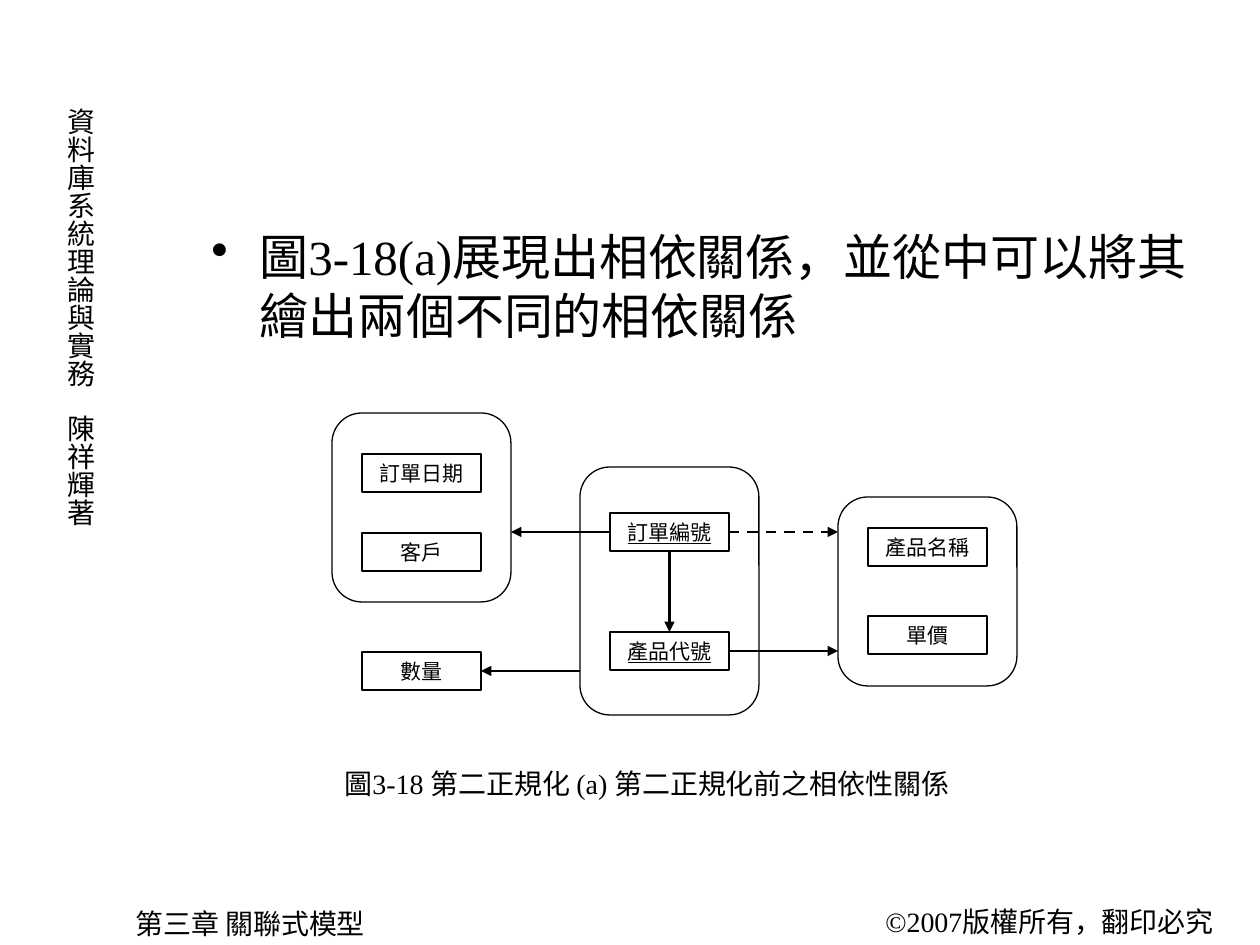
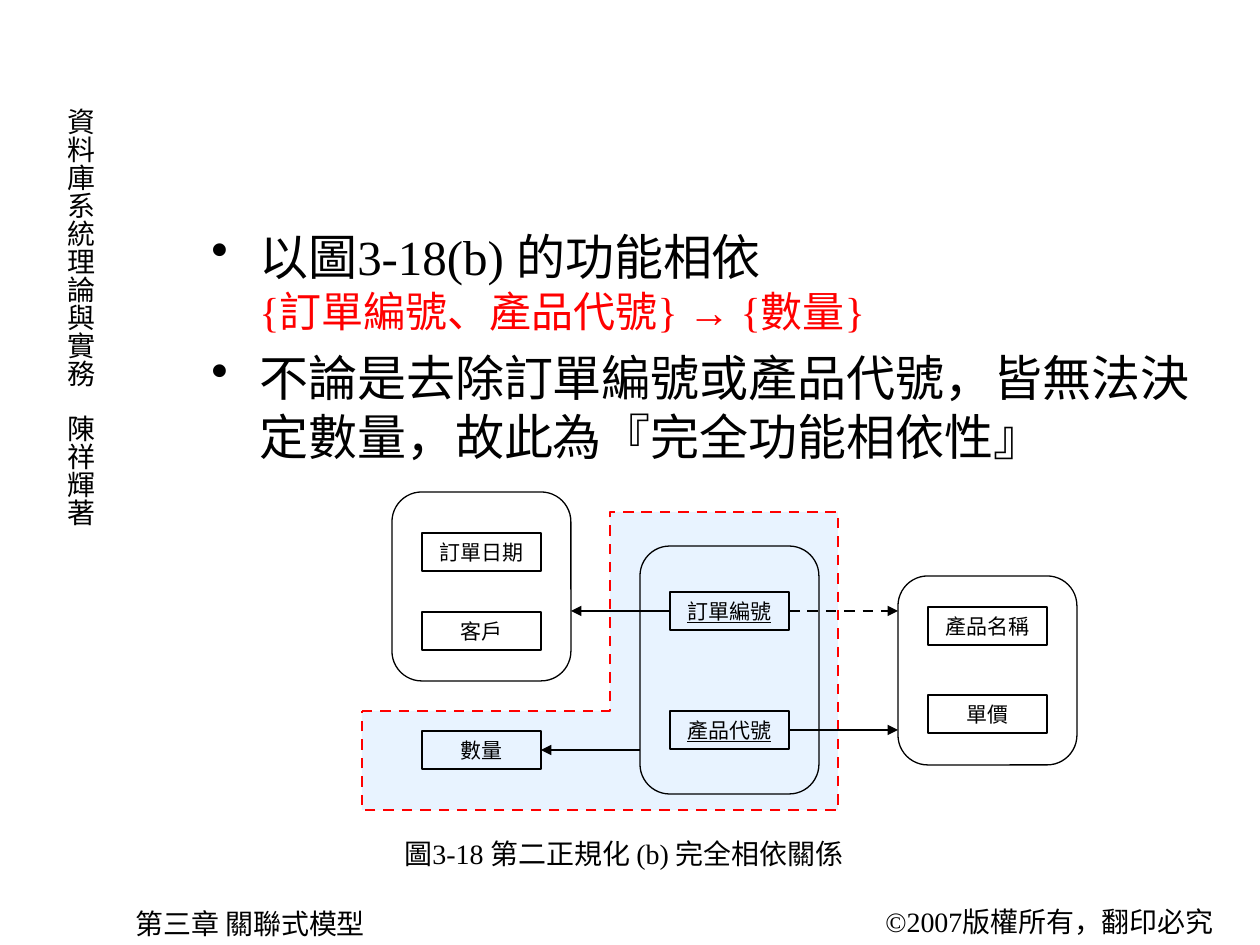
"""Builds two slides on second normal form and its dependency diagrams."""
from pptx import Presentation
from pptx.dml.color import RGBColor
from pptx.enum.dml import MSO_LINE
from pptx.enum.shapes import MSO_CONNECTOR, MSO_SHAPE
from pptx.enum.text import MSO_ANCHOR, PP_ALIGN
from pptx.oxml.ns import qn
from pptx.util import Emu, Pt
from lxml import etree

DASH = MSO_LINE.DASH
STRAIGHT = MSO_CONNECTOR.STRAIGHT
RECTANGLE, ROUNDED = MSO_SHAPE.RECTANGLE, MSO_SHAPE.ROUNDED_RECTANGLE
MIDDLE, CENTER = MSO_ANCHOR.MIDDLE, PP_ALIGN.CENTER
TOP, LEFT, BOTTOM, RIGHT = range(4)

COLORS = {"ink": "000000", "accent": "FF0000", "highlight": "8DC6FF"}
SERIF, SANS = "Times New Roman", "Arial"
EMU_PER_PX = 914400 / 126
FIELD_SIZE = (119, 38)
FRAMES = [(332, 413, 179, 189), (580, 467, 179, 248), (838, 497, 179, 189)]
FIELDS = {
    "訂單日期": (362, 454), "客戶": (362, 533), "數量": (362, 652),
    "訂單編號": (610, 513), "產品代號": (610, 632),
    "產品名稱": (868, 528), "單價": (868, 616),
}
KEY_FIELDS = ("訂單編號", "產品代號")


def px(length):
    """Turn pixels into EMU."""
    return Emu(round(length * EMU_PER_PX))


def color(name):
    """Look up a palette colour."""
    return RGBColor.from_string(COLORS[name])


def style_font(font, size, face=SERIF, ink="ink"):
    """Set size, typeface and colour of a font."""
    font.size, font.name = Pt(size), face
    font.color.rgb = color(ink)


def style_line(line, width, ink="ink", dashed=False):
    """Set width, colour and dash of a line."""
    line.width = Pt(width)
    line.color.rgb = color(ink)
    if dashed:
        line.dash_style = DASH


def add_label(slide, text, box):
    """Add a 16 pt serif text box and return it."""
    label = slide.shapes.add_textbox(*map(px, box))
    label.text_frame.word_wrap = True
    paragraph = label.text_frame.paragraphs[0]
    paragraph.text = text
    style_font(paragraph.font, 16)
    return label


def add_page_furniture(slide):
    """Add the vertical book title and both footers."""
    book = add_label(slide, "資料庫系統理論與實務　陳祥輝著", (45, 96, 58, 446))
    frame = book.text_frame
    frame.margin_left = frame.margin_right = px(6)
    frame.margin_top = frame.margin_bottom = px(12)
    book.element.txBody.bodyPr.set("vert", "eaVert")
    add_label(slide, "©2007版權所有，翻印必究", (873, 898, 382, 47))
    add_label(slide, "第三章 關聯式模型", (123, 900, 496, 47))


def add_bullets(slide, bullets):
    """Add the body text from pairs of a statement and an optional formula."""
    body = slide.shapes.add_textbox(*map(px, (199, 220, 1008, 624))).text_frame
    body.word_wrap = True
    for index, (statement, formula) in enumerate(bullets):
        paragraph = body.add_paragraph() if index else body.paragraphs[0]
        properties = paragraph._p.get_or_add_pPr()
        properties.set("marL", str(px(48)))
        properties.set("indent", str(px(-48)))
        etree.SubElement(properties, qn("a:buChar"), char="•")
        if index:
            paragraph.space_before = Pt(7)
        statement_run = paragraph.add_run()
        statement_run.text = statement
        if formula:
            style_font(statement_run.font, 28)
            paragraph.add_line_break()
            formula_run = paragraph.add_run()
            formula_run.text = formula
            style_font(formula_run.font, 24, ink="accent")
        else:
            style_font(paragraph.font, 28)


def add_outline(slide, kind, box):
    """Add an unfilled preset shape with a thin outline."""
    outline = slide.shapes.add_shape(kind, *map(px, box))
    outline.shadow.inherit = False
    outline.fill.background()
    style_line(outline.line, 0.75)
    return outline


def add_field(slide, name, left, top):
    """Add a field box, underlined when it belongs to the key."""
    field = add_outline(slide, RECTANGLE, (left, top, *FIELD_SIZE))
    field.text_frame.vertical_anchor = MIDDLE
    paragraph = field.text_frame.paragraphs[0]
    paragraph.text = name
    paragraph.alignment = CENTER
    style_font(paragraph.font, 12, SANS)
    if name in KEY_FIELDS:
        paragraph.font.underline = True
    return field


def add_arrow(slide, start, end, source=None, target=None, dashed=False):
    """Add an arrow, joined to (field, side) pairs where given."""
    arrow = slide.shapes.add_connector(STRAIGHT, *map(px, (*start, *end)))
    if source:
        arrow.begin_connect(*source)
    if target:
        arrow.end_connect(*target)
    style_line(arrow.line, 1.5, dashed=dashed)
    etree.SubElement(arrow.line._get_or_add_ln(), qn("a:tailEnd"), type="triangle")
    etree.SubElement(arrow.element.spPr, qn("a:effectLst"))


def add_dependencies(slide, dx=0, dy=0, key_arrow=False):
    """Draw the dependency diagram, shifted by dx and dy."""
    for left, top, width, height in FRAMES:
        add_outline(slide, ROUNDED, (left + dx, top + dy, width, height))
    fields = {name: add_field(slide, name, left + dx, top + dy)
              for name, (left, top) in FIELDS.items()}
    order, product = (fields[name] for name in KEY_FIELDS)
    order_y, product_y, quantity_y = (
        FIELDS[name][1] + FIELD_SIZE[1] // 2 + dy for name in (*KEY_FIELDS, "數量"))
    key_left, key_right = 610 + dx, 729 + dx
    add_arrow(slide, (key_left, order_y), (511 + dx, order_y), (order, LEFT))
    add_arrow(slide, (580 + dx, quantity_y), (481 + dx, quantity_y),
              target=(fields["數量"], RIGHT))
    add_arrow(slide, (key_right, order_y), (838 + dx, order_y), (order, RIGHT), dashed=True)
    add_arrow(slide, (key_right, product_y), (838 + dx, product_y), (product, RIGHT))
    if key_arrow:
        key_middle = (key_left + key_right) // 2
        add_arrow(slide, (key_middle, order_y), (key_middle, product_y),
                  (order, BOTTOM), (product, TOP))


def add_highlight(slide, corners):
    """Add a translucent area with a dashed accent outline."""
    builder = slide.shapes.build_freeform(*corners[0], scale=EMU_PER_PX)
    builder.add_line_segments(corners[1:], close=True)
    area = builder.convert_to_shape()
    area.shadow.inherit = False
    area.fill.solid()
    area.fill.fore_color.rgb = color("highlight")
    tint = area.element.spPr.find(qn("a:solidFill")).find(qn("a:srgbClr"))
    etree.SubElement(tint, qn("a:alpha"), val="20000")
    style_line(area.line, 1.5, "accent", dashed=True)


def add_slide(deck, bullets):
    """Add a blank slide with the shared parts and its bullets."""
    slide = deck.slides.add_slide(deck.slide_layouts[6])
    add_page_furniture(slide)
    add_bullets(slide, bullets)
    return slide


def main():
    """Build and save both slides."""
    deck = Presentation()
    deck.slide_width, deck.slide_height = px(1260), px(945)

    before = add_slide(deck, [
        ("圖3-18(a)展現出相依關係，並從中可以將其繪出兩個不同的相依關係", None)])
    add_dependencies(before, key_arrow=True)
    add_label(before, "圖3-18 第二正規化 (a) 第二正規化前之相依性關係", (332, 760, 714, 47))

    full = add_slide(deck, [
        ("以圖3-18(b) 的功能相依", "{訂單編號、產品代號} → {數量}"),
        ("不論是去除訂單編號或產品代號，皆無法決定數量，故此為『完全功能相依性』", None)])
    add_highlight(full, [(362, 711), (610, 711), (610, 512),
                         (838, 512), (838, 810), (362, 810)])
    add_dependencies(full, dx=60, dy=79)
    add_label(full, "圖3-18 第二正規化 (b) 完全相依關係", (392, 830, 596, 47))

    deck.save("out.pptx")


if __name__ == "__main__":
    main()
